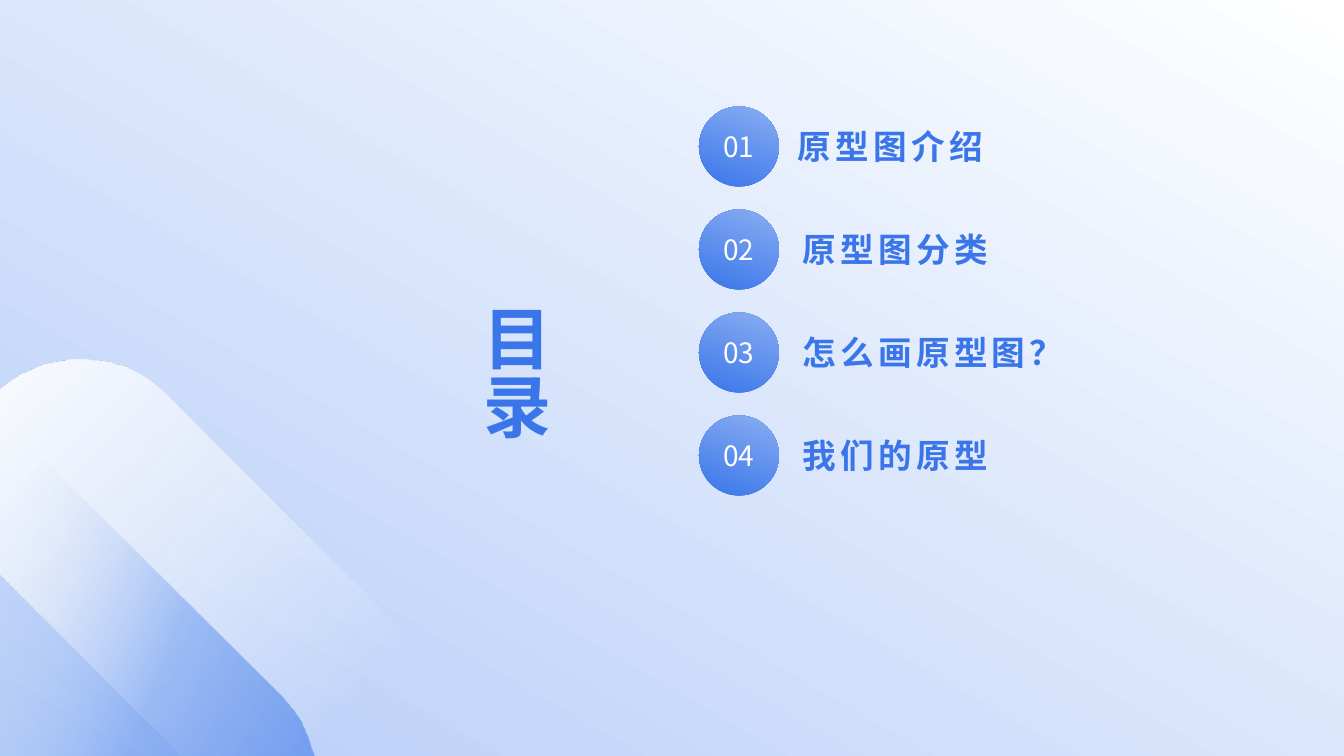
from lxml import etree
from pptx import Presentation
from pptx.dml.color import RGBColor
from pptx.enum.shapes import MSO_SHAPE as Shape
from pptx.enum.text import MSO_ANCHOR as Anchor, MSO_AUTO_SIZE as AutoSize, PP_ALIGN as Align
from pptx.oxml.ns import qn
from pptx.util import Pt

# Content
TITLE = "目录"
TOPICS = ["原型图介绍", "原型图分类", "怎么画原型图？", "我们的原型"]

# Style: gradient stops are (position %, colour, opacity %)
FONT = "Noto Sans CJK SC"
COLORS = {"blue": "3A76E9", "light_blue": "89ADF2", "pale_blue": "B6CDF8",
          "mist": "F9FBFE", "haze": "FBFCFF", "white": "FFFFFF"}
GRADIENTS = {
    "backdrop": (300, [(0, "pale_blue", 100), (100, "white", 100)]),
    "light_band": (40, [(0, "mist", 100), (87, "haze", 0)]),
    "blue_band": (20, [(0, "white", 0), (56, "blue", 34), (98, "blue", 55)]),
    "badge": (290, [(0, "blue", 100), (100, "light_blue", 100)]),
}
TITLE_STYLE = {"size": 48.6, "color": "blue", "bold": True, "spacing": 3}
TOPIC_STYLE = {"size": 24, "color": "blue", "bold": True, "spacing": 3}
BADGE_STYLE = {"size": 20, "color": "white", "bold": False, "spacing": 0}

# Bands: a pair is a corner, a triple of pairs is a Bézier curve from the last point
BANDS = {
    "light_band": [(82, 360), ((113, 360), (144, 371), (167, 395)), (407, 635), (287, 756),
                   (182, 756), (0, 574), (0, 390), (4, 387), ((26, 369), (53, 360), (82, 360))],
    "blue_band": [(45, 461), (281, 695), ((296, 710), (306, 727), (311, 746)),
                  (315, 756), (0, 756), (0, 505)],
}

# Layout in px
PX = 914400 / 100.8
WIDTH, HEIGHT = 1344, 756
TITLE_BOX = (484, 311, 86, 134)
ROW_TOP, ROW_HEIGHT = 95, 103
BADGE_LEFT, BADGE_SIZE = 699, 80
TOPIC_LEFTS, TOPIC_WIDTH = [798, 803, 803, 803], 351
CURVE_STEPS = 16


def emu(*lengths):
    return [round(length * PX) for length in lengths]


def paint(shape, gradient):
    angle, stops = GRADIENTS[gradient]
    shape.shadow.inherit = False
    shape.line.fill.background()
    shape.fill.background()
    fill = etree.Element(qn("a:gradFill"), rotWithShape="1")
    stop_list = etree.SubElement(fill, qn("a:gsLst"))
    for position, color, opacity in stops:
        stop = etree.SubElement(stop_list, qn("a:gs"), pos=str(position * 1000))
        value = etree.SubElement(stop, qn("a:srgbClr"), val=COLORS[color])
        if opacity < 100:
            etree.SubElement(value, qn("a:alpha"), val=str(opacity * 1000))
    etree.SubElement(fill, qn("a:lin"), ang=str(angle * 60000), scaled="0")
    properties = shape._element.spPr
    properties.replace(properties.find(qn("a:noFill")), fill)


def write(shape, text, style, align=Align.LEFT, wrap=True):
    frame = shape.text_frame
    settings = {"auto_size": AutoSize.NONE, "word_wrap": wrap, "vertical_anchor": Anchor.MIDDLE,
                "margin_left": 0, "margin_top": 0, "margin_right": 0, "margin_bottom": 0}
    for name, value in settings.items():
        setattr(frame, name, value)
    paragraph = frame.paragraphs[0]
    paragraph.alignment = align
    run = paragraph.add_run()
    run.text = text
    for name, value in {"name": FONT, "size": Pt(style["size"]), "bold": style["bold"]}.items():
        setattr(run.font, name, value)
    run.font.color.rgb = RGBColor.from_string(COLORS[style["color"]])
    properties = run._r.get_or_add_rPr()
    properties.set("spc", str(style["spacing"] * 100))
    etree.SubElement(properties, qn("a:ea"), typeface=FONT)
    return paragraph


def curve(points):
    for step in range(1, CURVE_STEPS + 1):
        t = step / CURVE_STEPS
        weights = ((1 - t) ** 3, 3 * t * (1 - t) ** 2, 3 * t ** 2 * (1 - t), t ** 3)
        yield tuple(sum(w * p[axis] for w, p in zip(weights, points)) for axis in (0, 1))


def outline(segments):
    points = [segments[0]]
    for segment in segments[1:]:
        if len(segment) == 3:
            points.extend(curve((points[-1], *segment)))
        else:
            points.append(segment)
    return points


presentation = Presentation()
presentation.slide_width, presentation.slide_height = emu(WIDTH, HEIGHT)
slide = presentation.slides.add_slide(presentation.slide_layouts[5])
shapes = slide.shapes
title = shapes.title

# Backdrop and bands, kept behind the title
decor = [shapes.add_shape(Shape.RECTANGLE, *emu(0, 0, WIDTH, HEIGHT))]
paint(decor[0], "backdrop")
for gradient, segments in BANDS.items():
    start, *rest = outline(segments)
    builder = shapes.build_freeform(*start, scale=PX)
    builder.add_line_segments(rest, close=True)
    band = builder.convert_to_shape()
    paint(band, gradient)
    decor.append(band)
for shape in decor:
    title._element.addprevious(shape._element)

# Title
title.left, title.top, title.width, title.height = emu(*TITLE_BOX)
write(title, TITLE, TITLE_STYLE).line_spacing = 0.83

# Numbered topics
for index, (topic, topic_left) in enumerate(zip(TOPICS, TOPIC_LEFTS)):
    row_top = ROW_TOP + index * ROW_HEIGHT
    badge_top = row_top + (ROW_HEIGHT - BADGE_SIZE) / 2
    badge = shapes.add_shape(Shape.OVAL, *emu(BADGE_LEFT, badge_top, BADGE_SIZE, BADGE_SIZE))
    paint(badge, "badge")
    write(badge, f"{index + 1:02}", BADGE_STYLE, Align.CENTER, wrap=False)
    box = shapes.add_textbox(*emu(topic_left, row_top, TOPIC_WIDTH, ROW_HEIGHT))
    write(box, topic, TOPIC_STYLE)

presentation.save("out.pptx")
